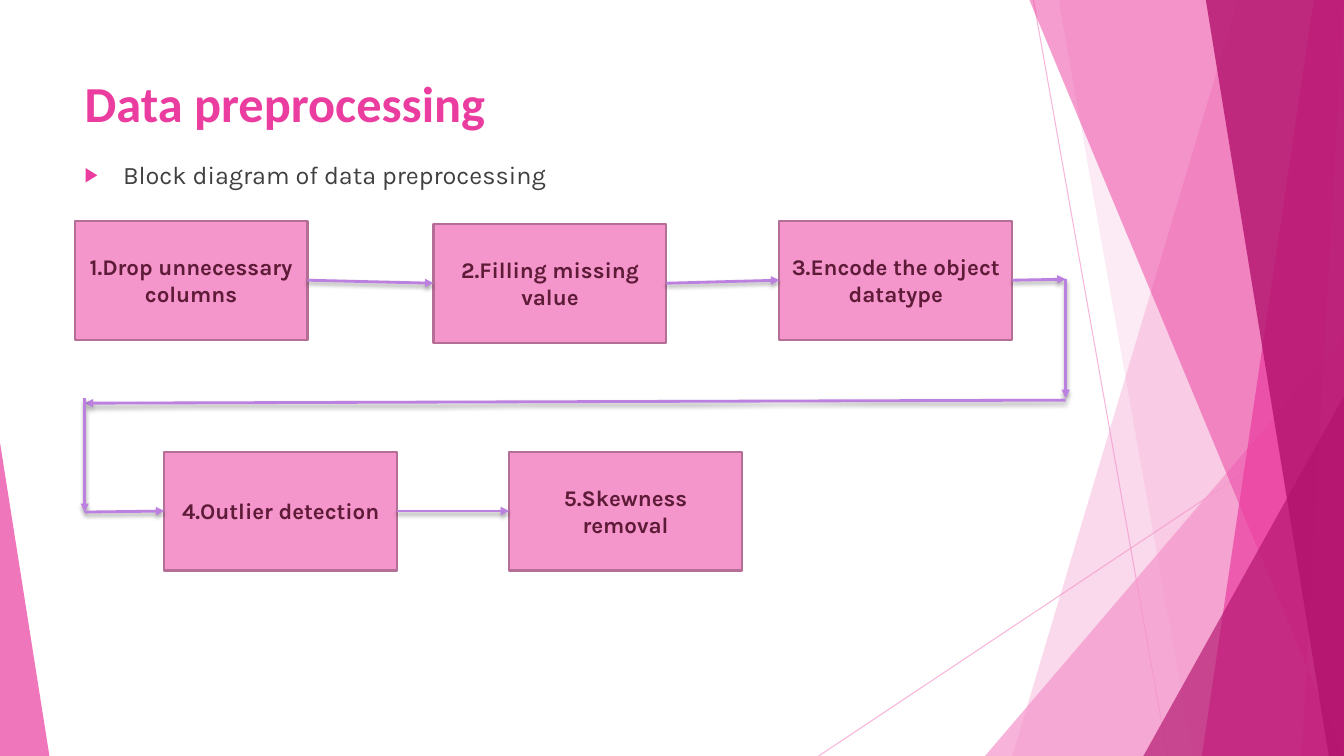
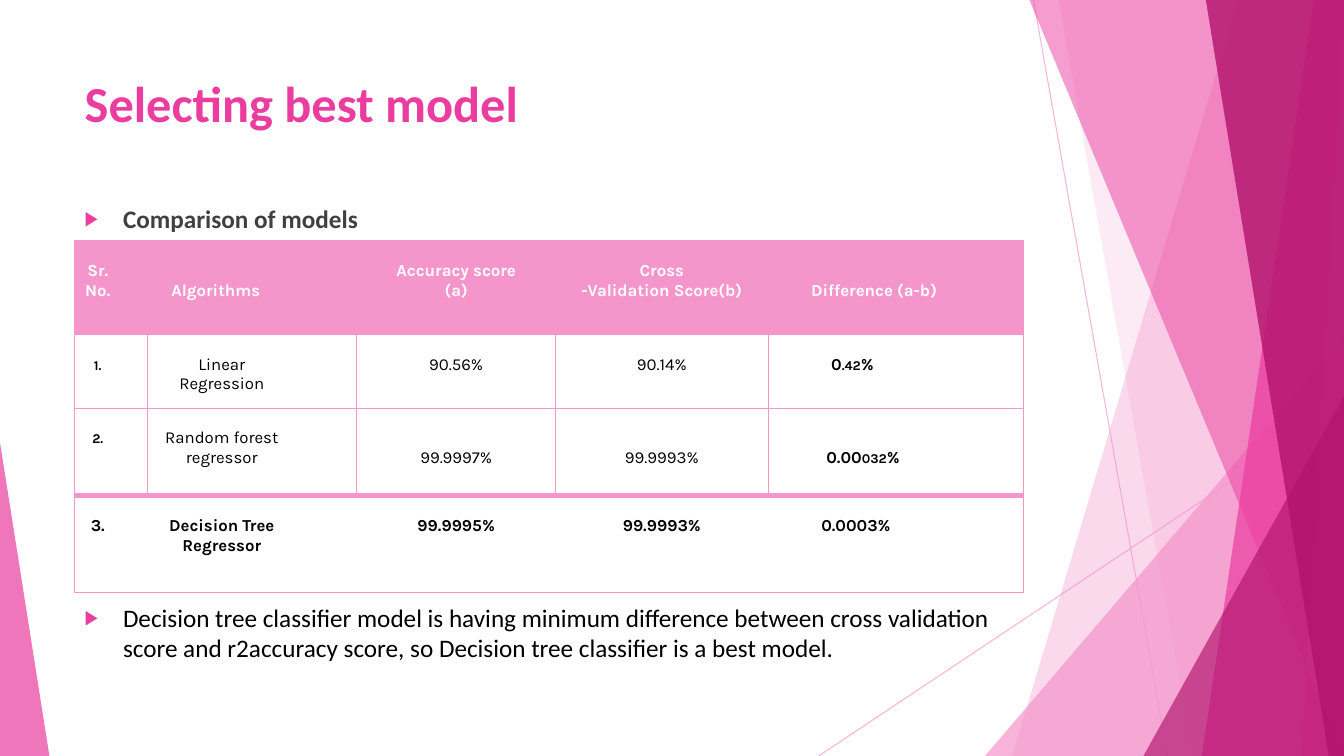
from dataclasses import dataclass

from pptx import Presentation
from pptx.dml.color import RGBColor
from pptx.enum.shapes import MSO_CONNECTOR, MSO_SHAPE
from pptx.enum.text import MSO_ANCHOR, MSO_AUTO_SIZE, PP_ALIGN
from pptx.oxml import parse_xml
from pptx.oxml.ns import nsdecls
from pptx.util import Inches, Pt

WIDTH, HEIGHT = 13.33, 7.5
LEFT = 0.74
LINE_STEP = 0.2  # height of one line of table text

PINK = RGBColor(0xEB, 0x3D, 0x9F)
LIGHT_PINK = RGBColor(0xF4, 0x96, 0xCB)
DARK_PINK = RGBColor(0xB2, 0x13, 0x6D)
BOX_BORDER = RGBColor(0xB5, 0x6F, 0x96)
BOX_TEXT = RGBColor(0x5E, 0x1B, 0x38)
PURPLE = RGBColor(0xBC, 0x80, 0xE0)
GRAY = RGBColor(0x40, 0x40, 0x40)
BLACK = RGBColor(0, 0, 0)
WHITE = RGBColor(0xFF, 0xFF, 0xFF)

HEADING_FONT = "Calibri"
TEXT_FONT = "Karla"


@dataclass
class TableRow:
    """One row: cell texts, blank lines above each, and the last cell's right inset.

    A bar in a text switches small capitals on or off.
    """
    height: float
    texts: tuple
    lines_above: tuple
    last_inset: float


COLUMN_WIDTHS = (0.72, 2.08, 1.97, 2.11, 2.53)
MODEL_ROWS = (
    TableRow(0.93, ("Sr.\nNo.", "Algorithms", "Accuracy score\n(a)",
                    "Cross\n-Validation Score(b)", "Difference (a-b)"),
             (1, 2, 1, 1, 2), 0.43),
    TableRow(0.73, ("|1.", "Linear Regression", "90.56%", "90.14%", "0|.42|%"),
             (1, 1, 1, 1, 1), 0.86),
    TableRow(0.87, ("|2.", "Random forest regressor", "99.9997%", "99.9993%",
                    "0.00|032|%"),
             (1, 1, 2, 2, 2), 0.65),
    TableRow(0.96, ("3.", "Decision Tree Regressor", "99.9995%", "99.9993%",
                    "0.0003%"),
             (1, 1, 1, 1, 1), 0.79),
)


def set_opacity(element, percent):
    for color in element.xpath(".//p:spPr//a:srgbClr"):
        color.append(parse_xml(f'<a:alpha {nsdecls("a")} val="{percent * 1000}"/>'))


def format_run(run, font, size, color, bold=False):
    run.font.name = font
    run.font.size = Pt(size)
    run.font.color.rgb = color
    run.font.bold = bold


def place(shape, left, top, width, height):
    shape.left, shape.top = Inches(left), Inches(top)
    shape.width, shape.height = Inches(width), Inches(height)


def set_border(cell, edge, points):
    """Draw one cell edge (L, R, T or B); zero points means no line."""
    paint = (f'<a:solidFill><a:srgbClr val="{LIGHT_PINK}"/></a:solidFill>'
             if points else "<a:noFill/>")
    cell._tc.get_or_add_tcPr().append(parse_xml(
        f'<a:ln{edge} {nsdecls("a")} w="{Pt(points)}">{paint}</a:ln{edge}>'))


class Deck:
    def __init__(self):
        self.presentation = Presentation()
        self.presentation.slide_width = Inches(WIDTH)
        self.presentation.slide_height = Inches(HEIGHT)
        self.slide = None

    def add_slide(self, title):
        layout = self.presentation.slide_layouts[1]
        self.slide = self.presentation.slides.add_slide(layout)
        placeholders = list(self.slide.placeholders)
        self.add_background()
        for placeholder in placeholders:  # bring text in front of the background
            self.slide.shapes._spTree.append(placeholder._element)
        shape = self.slide.shapes.title
        place(shape, LEFT, 0.67, 9.4, 1)
        frame = shape.text_frame
        frame.text = title
        frame.auto_size = MSO_AUTO_SIZE.NONE
        frame.vertical_anchor = MSO_ANCHOR.TOP
        frame.paragraphs[0].alignment = PP_ALIGN.LEFT
        format_run(frame.paragraphs[0].runs[0], HEADING_FONT, 36, PINK, True)

    def add_background(self):
        self.add_thin_line((10.25, 0), (11.58, HEIGHT))
        self.add_thin_line((WIDTH, 4.03), (8.12, HEIGHT))
        self.add_band(12.28, WIDTH, 10.04, LIGHT_PINK, 36)
        self.add_band(10.5, WIDTH, 11.83, LIGHT_PINK, 20)
        self.add_triangle(9.77, 3.33, 3.56, 1, LIGHT_PINK, 72)
        self.add_band(10.21, 12.91, WIDTH, PINK, 50)
        self.add_band(13.03, WIDTH, 11.92, PINK, 70)
        self.add_band(11.96, WIDTH, 13.18, DARK_PINK, 80)
        self.add_triangle(11.34, 3.93, 1.99, 1, DARK_PINK, 66)
        self.add_triangle(0, 4.39, 0.49, 0, PINK, 70)

    def add_line(self, begin, end, color, points):
        connector = self.slide.shapes.add_connector(
            MSO_CONNECTOR.STRAIGHT, *map(Inches, begin + end))
        connector.line.color.rgb = color
        connector.line.width = Pt(points)
        return connector

    def add_thin_line(self, begin, end):
        connector = self.add_line(begin, end, LIGHT_PINK, 0.75)
        set_opacity(connector._element, 70)
        connector._element.spPr.append(parse_xml(f'<a:effectLst {nsdecls("a")}/>'))

    def paint_translucent(self, shape, color, opacity):
        shape.shadow.inherit = False
        shape.fill.solid()
        shape.fill.fore_color.rgb = color
        shape.line.fill.background()
        set_opacity(shape._element, opacity)

    def add_band(self, top_left, bottom_right, bottom_left, color, opacity):
        """Fill from a slanted left edge to the slide's right edge."""
        corners = [(WIDTH, 0), (bottom_right, HEIGHT), (bottom_left, HEIGHT)]
        builder = self.slide.shapes.build_freeform(Inches(top_left), 0)
        builder.add_line_segments([(Inches(x), Inches(y)) for x, y in corners])
        self.paint_translucent(builder.convert_to_shape(), color, opacity)

    def add_triangle(self, left, top, width, apex, color, opacity):
        shape = self.slide.shapes.add_shape(
            MSO_SHAPE.ISOSCELES_TRIANGLE, Inches(left), Inches(top),
            Inches(width), Inches(HEIGHT - top))
        shape.adjustments[0] = apex
        self.paint_translucent(shape, color, opacity)

    def add_bullets(self, texts, top, width, height, gap=10):
        """Fill the body placeholder; gap is the space above each bullet in points."""
        body = self.slide.placeholders[1]
        place(body, LEFT, top, width, height)
        frame = body.text_frame
        frame.text = "\n".join(texts)
        frame.auto_size = MSO_AUTO_SIZE.NONE
        for paragraph in frame.paragraphs:
            paragraph.space_before = Pt(gap)
            properties = paragraph._p.get_or_add_pPr()
            properties.set("marL", str(Inches(0.38)))
            properties.set("indent", str(Inches(-0.38)))
            for bullet in (f'buClr {nsdecls("a")}><a:srgbClr val="{PINK}"/></a:buClr',
                           f'buSzPct {nsdecls("a")} val="80000"/',
                           f'buChar {nsdecls("a")} char="▶"/'):
                properties.append(parse_xml(f"<a:{bullet}>"))
        return [paragraph.runs[0] for paragraph in frame.paragraphs]

    def add_box(self, text, left, top):
        box = self.slide.shapes.add_shape(
            MSO_SHAPE.RECTANGLE, Inches(left), Inches(top), Inches(2.31), Inches(1.18))
        box.shadow.inherit = False
        box.fill.solid()
        box.fill.fore_color.rgb = LIGHT_PINK
        box.line.color.rgb = BOX_BORDER
        box.line.width = Pt(1.5)
        frame = box.text_frame
        frame.text = text
        frame.word_wrap = True
        frame.vertical_anchor = MSO_ANCHOR.MIDDLE
        frame.paragraphs[0].alignment = PP_ALIGN.CENTER
        format_run(frame.paragraphs[0].runs[0], TEXT_FONT, 16, BOX_TEXT, True)
        return box

    def add_arrow(self, begin, end):
        """Join two ends, each a point or a box (left by its right side, met at its left)."""
        begin_point, end_point = (
            stop if isinstance(stop, tuple) else (0, 0) for stop in (begin, end))
        connector = self.add_line(begin_point, end_point, PURPLE, 2)
        if begin is not begin_point and not isinstance(begin, tuple):
            connector.begin_connect(begin, 3)
        if not isinstance(end, tuple):
            connector.end_connect(end, 1)
        connector.line._get_or_add_ln().append(
            parse_xml(f'<a:tailEnd {nsdecls("a")} type="triangle"/>'))
        connector._element.spPr.append(parse_xml(
            f'<a:effectLst {nsdecls("a")}><a:outerShdw blurRad="{Pt(3)}" dist="{Pt(2)}" '
            'dir="5400000" rotWithShape="0"><a:srgbClr val="000000">'
            '<a:alpha val="35000"/></a:srgbClr></a:outerShdw></a:effectLst>'))

    def add_model_table(self, rows, top):
        table = self.slide.shapes.add_table(
            len(rows), len(COLUMN_WIDTHS), Inches(LEFT), Inches(top),
            Inches(sum(COLUMN_WIDTHS)), Inches(sum(row.height for row in rows))).table
        table.horz_banding = False
        for column, width in zip(table.columns, COLUMN_WIDTHS):
            column.width = Inches(width)
        last_row, last_column = len(rows) - 1, len(COLUMN_WIDTHS) - 1
        for row_index, row in enumerate(rows):
            table.rows[row_index].height = Inches(row.height)
            is_header, is_best = row_index == 0, row_index == last_row
            name_insets = (0.15, 0.87 if is_header else 0.75)
            insets = ((0, 0.26), name_insets, (0, 0), (0, 0), (0, row.last_inset))
            for column_index, text in enumerate(row.texts):
                cell = table.cell(row_index, column_index)
                set_border(cell, "L", 0 if is_best and column_index > 0 else 1)
                set_border(cell, "R", 0 if is_best and column_index < last_column else 1)
                set_border(cell, "T", 4 if is_best else 1)
                set_border(cell, "B", 4 if row_index == last_row - 1 else 1)
                if is_header:
                    cell.fill.solid()
                    cell.fill.fore_color.rgb = LIGHT_PINK
                else:
                    cell.fill.background()
                cell.margin_left, cell.margin_right = map(Inches, insets[column_index])
                cell.margin_top = Inches(LINE_STEP * row.lines_above[column_index])
                cell.margin_bottom = 0
                bold = is_header or is_best or column_index in (0, last_column)
                self.write_cell(cell, text, WHITE if is_header else BLACK, bold)

    def write_cell(self, cell, text, color, bold):
        frame = cell.text_frame
        frame.text = text if "|" not in text else ""
        paragraph = frame.paragraphs[0]
        for index, part in enumerate(text.split("|") if "|" in text else ()):
            if part:
                run = paragraph.add_run()
                run.text = part
                if index % 2:
                    run.font._element.set("cap", "small")
        for paragraph in frame.paragraphs:
            paragraph.alignment = PP_ALIGN.CENTER
            for run in paragraph.runs:
                format_run(run, TEXT_FONT, 12, color, bold)


def build_preprocessing_slide(deck):
    deck.add_slide("Data preprocessing")
    bullet, = deck.add_bullets(["Block diagram of data preprocessing"], 1.53, 10.04, 5.07)
    format_run(bullet, TEXT_FONT, 18, GRAY)

    drop = deck.add_box("1.Drop unnecessary columns", LEFT, 2.19)
    fill = deck.add_box("2.Filling missing value", 4.3, 2.22)
    encode = deck.add_box("3.Encode the object datatype", 7.73, 2.19)
    outlier = deck.add_box("4.Outlier detection", 1.63, 4.48)
    skewness = deck.add_box("5.Skewness removal", 5.05, 4.48)

    right, left = 10.57, 0.84
    for begin, end in ((drop, fill), (fill, encode), (encode, (right, 2.77)),
                       ((right, 2.77), (right, 3.95)), ((right, 3.97), (left, 4)),
                       ((left, 3.95), (left, 5.08)), ((left, 5.08), outlier),
                       (outlier, skewness)):
        deck.add_arrow(begin, end)


def build_model_slide(deck):
    deck.add_slide("Selecting best model")
    heading, conclusion = deck.add_bullets(
        ["Comparison of models",
         "Decision tree classifier model is having minimum difference between cross "
         "validation score and r2accuracy score, so Decision tree classifier is a best "
         "model."], 1.97, 9.4, 4.95, gap=263)
    format_run(heading, HEADING_FONT, 18, GRAY, True)
    format_run(conclusion, HEADING_FONT, 18, BLACK)
    deck.add_model_table(MODEL_ROWS, 2.39)


def main():
    deck = Deck()
    build_preprocessing_slide(deck)
    build_model_slide(deck)
    deck.presentation.save("out.pptx")


if __name__ == "__main__":
    main()
